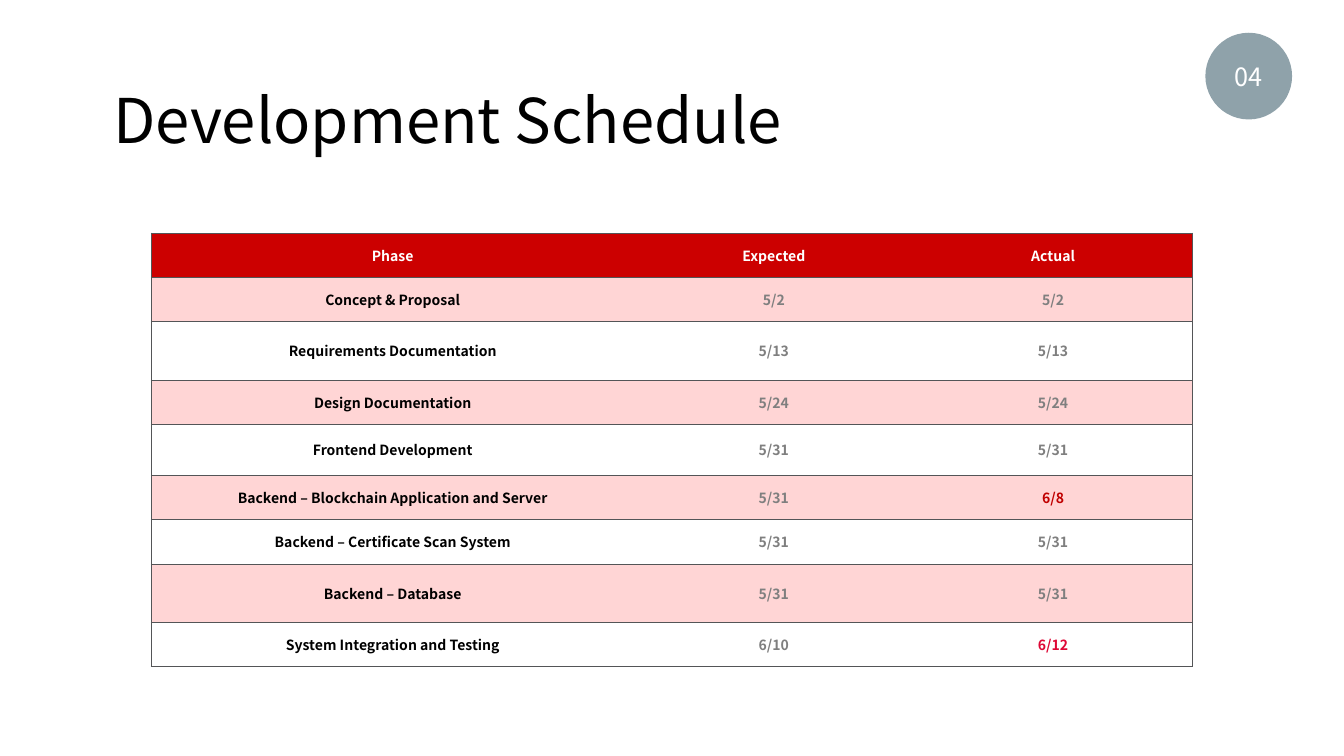
import pptx
import pptx.dml.color
import pptx.enum.shapes
import pptx.enum.text
import pptx.oxml
import pptx.oxml.ns
import pptx.util
from pptx.util import Inches

FONT = "Noto Sans CJK KR"
BORDER = "545557"
GREY = "7F7F7F"
COLUMN_WIDTHS = [9.58, 5.54, 5.54]
ROW_HEIGHTS = [0.88, 0.88, 1.16, 0.88, 1.01, 0.88, 0.88, 1.16, 0.88]
SCHEDULE = [
    ("Phase", "Expected", "Actual"),
    ("Concept & Proposal", "5/2", "5/2"),
    ("Requirements Documentation", "5/13", "5/13"),
    ("Design Documentation", "5/24", "5/24"),
    ("Frontend Development", "5/31", "5/31"),
    ("Backend – Blockchain Application and Server", "5/31", "6/8"),
    ("Backend – Certificate Scan System", "5/31", "5/31"),
    ("Backend – Database", "5/31", "5/31"),
    ("System Integration and Testing", "6/10", "6/12"),
]
LATE_COLORS = {"6/8": "C00000", "6/12": "DE0836"}


def rgb(value):
    return pptx.dml.color.RGBColor.from_string(value)


def write_text(frame, text, size, color, bold=False, align="CENTER", anchor="MIDDLE", spacing=None):
    frame.vertical_anchor = pptx.enum.text.MSO_ANCHOR[anchor]
    para = frame.paragraphs[0]
    para.alignment = pptx.enum.text.PP_ALIGN[align]
    para.line_spacing = spacing
    span = para.add_run()
    span.text = text
    span.font.name = FONT
    span.font.size = pptx.util.Pt(size)
    span.font.bold = bold
    span.font.color.rgb = rgb(color)


def add_title(page, text):
    title = page.shapes.title
    title.left, title.top = Inches(2.15), Inches(1.75)
    title.width, title.height = Inches(18.66), Inches(1.58)
    frame = title.text_frame
    frame.word_wrap = True
    frame.auto_size = pptx.enum.text.MSO_AUTO_SIZE.SHAPE_TO_FIT_TEXT
    write_text(frame, text, 88, "000000", align="LEFT", anchor="TOP", spacing=0.9)


def add_badge(page, text):
    badge = page.shapes.add_shape(
        pptx.enum.shapes.MSO_SHAPE.OVAL, Inches(23.91), Inches(0.65), Inches(1.72), Inches(1.72)
    )
    badge.shadow.inherit = False
    badge.fill.solid()
    badge.fill.fore_color.rgb = rgb("8FA2AA")
    badge.line.fill.background()
    write_text(badge.text_frame, text, 36, "FFFFFF")


def set_borders(cell, visible):
    properties = cell._tc.get_or_add_tcPr()
    namespace = pptx.oxml.ns.nsdecls("a")
    for side in "LRTB":
        paint = "<a:noFill/>"
        if side in visible:
            paint = f'<a:solidFill><a:srgbClr val="{BORDER}"/></a:solidFill>'
        properties.append(pptx.oxml.parse_xml(f'<a:ln{side} {namespace} w="12700">{paint}</a:ln{side}>'))


def cell_colors(row, column, text):
    if row == 0:
        return "CC0000", "FFFFFF"
    fill = "FFD5D5" if row % 2 else "FFFFFF"
    if column == 0:
        return fill, "000000"
    return fill, LATE_COLORS.get(text, GREY)


def add_schedule(page):
    table = page.shapes.add_table(
        len(SCHEDULE), len(COLUMN_WIDTHS), Inches(3), Inches(4.62),
        Inches(sum(COLUMN_WIDTHS)), Inches(sum(ROW_HEIGHTS)),
    ).table
    table.horz_banding = False
    for column, width in zip(table.columns, COLUMN_WIDTHS):
        column.width = Inches(width)
    for row, height in zip(table.rows, ROW_HEIGHTS):
        row.height = Inches(height)
    outer_sides = ["LTB", "TB", "RTB"]
    for row, entries in enumerate(SCHEDULE):
        for column, text in enumerate(entries):
            cell = table.cell(row, column)
            fill, color = cell_colors(row, column, text)
            set_borders(cell, outer_sides[column])
            cell.fill.solid()
            cell.fill.fore_color.rgb = rgb(fill)
            cell.vertical_anchor = pptx.enum.text.MSO_ANCHOR.MIDDLE
            write_text(cell.text_frame, text, 20, color, bold=True)


def main():
    deck = pptx.Presentation()
    deck.slide_width, deck.slide_height = Inches(26.66), Inches(15)
    page = deck.slides.add_slide(deck.slide_layouts[5])
    add_title(page, "Development Schedule")
    add_badge(page, "04")
    add_schedule(page)
    deck.save("out.pptx")


if __name__ == "__main__":
    main()
